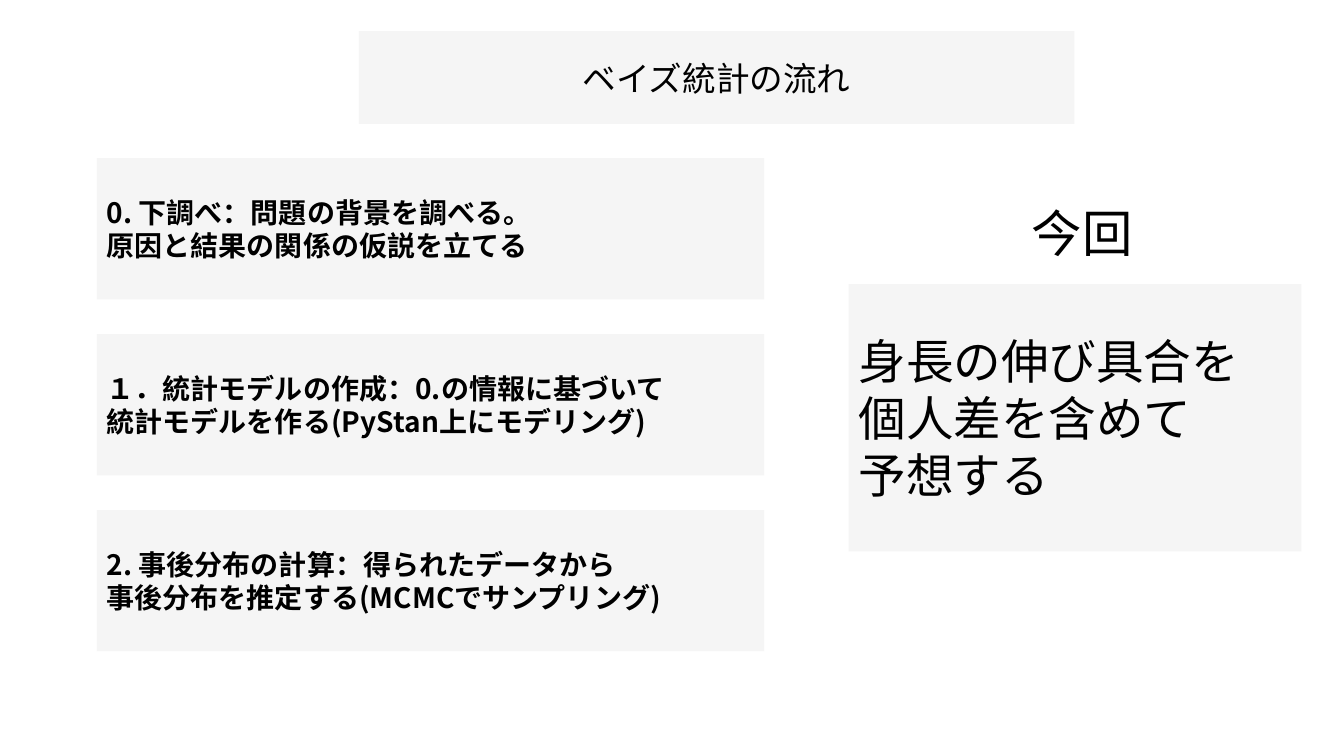
"""Build a slide on the flow of Bayesian statistics and this session's goal."""
from lxml import etree
from pptx import Presentation, util as u
from pptx.dml import color
from pptx.enum import shapes, text
from pptx.oxml import ns

COLORS = {"panel": "EDEDED", "ink": "000000"}
FONT = "Noto Sans CJK JP"

deck = Presentation()
deck.slide_width, deck.slide_height = u.Inches(13.33), u.Inches(7.5)
column, row = deck.slide_width / 100, deck.slide_height / 100
slide = deck.slides.add_slide(deck.slide_layouts[5])


def place(left, top, width, height):
    """Turn percentages of the slide into lengths."""
    return [round(n) for n in (left * column, top * row, width * column, height * row)]


def write(holder, *lines, size, bold=False, align=text.PP_ALIGN.LEFT,
          anchor=text.MSO_ANCHOR.MIDDLE, wrap=True, panel=True):
    """Write the lines into a shape, on a translucent panel if asked."""
    if panel:
        holder.fill.solid()
        holder.fill.fore_color.rgb = color.RGBColor.from_string(COLORS["panel"])
        tint = holder.element.spPr.find(".//" + ns.qn("a:srgbClr"))
        etree.SubElement(tint, ns.qn("a:alpha"), val="50000")
        holder.line.fill.background()
    frame = holder.text_frame
    frame.auto_size = text.MSO_AUTO_SIZE.NONE if wrap else text.MSO_AUTO_SIZE.SHAPE_TO_FIT_TEXT
    frame.word_wrap = wrap
    frame.vertical_anchor = anchor
    frame.text = "\n".join(lines)
    for paragraph in frame.paragraphs:
        paragraph.alignment = align
        for run in paragraph.runs:
            run.font.size, run.font.bold, run.font.name = u.Pt(size), bold, FONT
            run.font.color.rgb = color.RGBColor.from_string(COLORS["ink"])
            etree.SubElement(run.font._element, ns.qn("a:ea"), typeface=FONT)


title = slide.shapes.title
title.left, title.top, title.width, title.height = place(26.7, 4.13, 53.25, 12.27)
write(title, "ベイズ統計の流れ", size=24, align=text.PP_ALIGN.CENTER)

steps = [
    ("0. 下調べ：問題の背景を調べる。", "原因と結果の関係の仮説を立てる"),
    ("１．統計モデルの作成：0.の情報に基づいて", "統計モデルを作る(PyStan上にモデリング)"),
    ("2. 事後分布の計算：得られたデータから", "事後分布を推定する(MCMCでサンプリング)"),
]
panels = [(place(7.2, 20.93 + 23.27 * index, 49.65, 18.67), lines, 20, True)
          for index, lines in enumerate(steps)]
goal = ("身長の伸び具合を", "個人差を含めて", "予想する")
panels.append((place(63.15, 37.6, 33.68, 35.33), goal, 34, False))

for area, lines, size, bold in panels:
    panel = slide.shapes.add_shape(shapes.MSO_SHAPE.RECTANGLE, *area)
    panel.shadow.inherit = False
    write(panel, *lines, size=size, bold=bold)

goal_heading = slide.shapes.add_textbox(*place(76.05, 26.13, 9.08, 9.47))
write(goal_heading, "今回", size=36, anchor=text.MSO_ANCHOR.TOP, wrap=False, panel=False)

deck.save("out.pptx")
